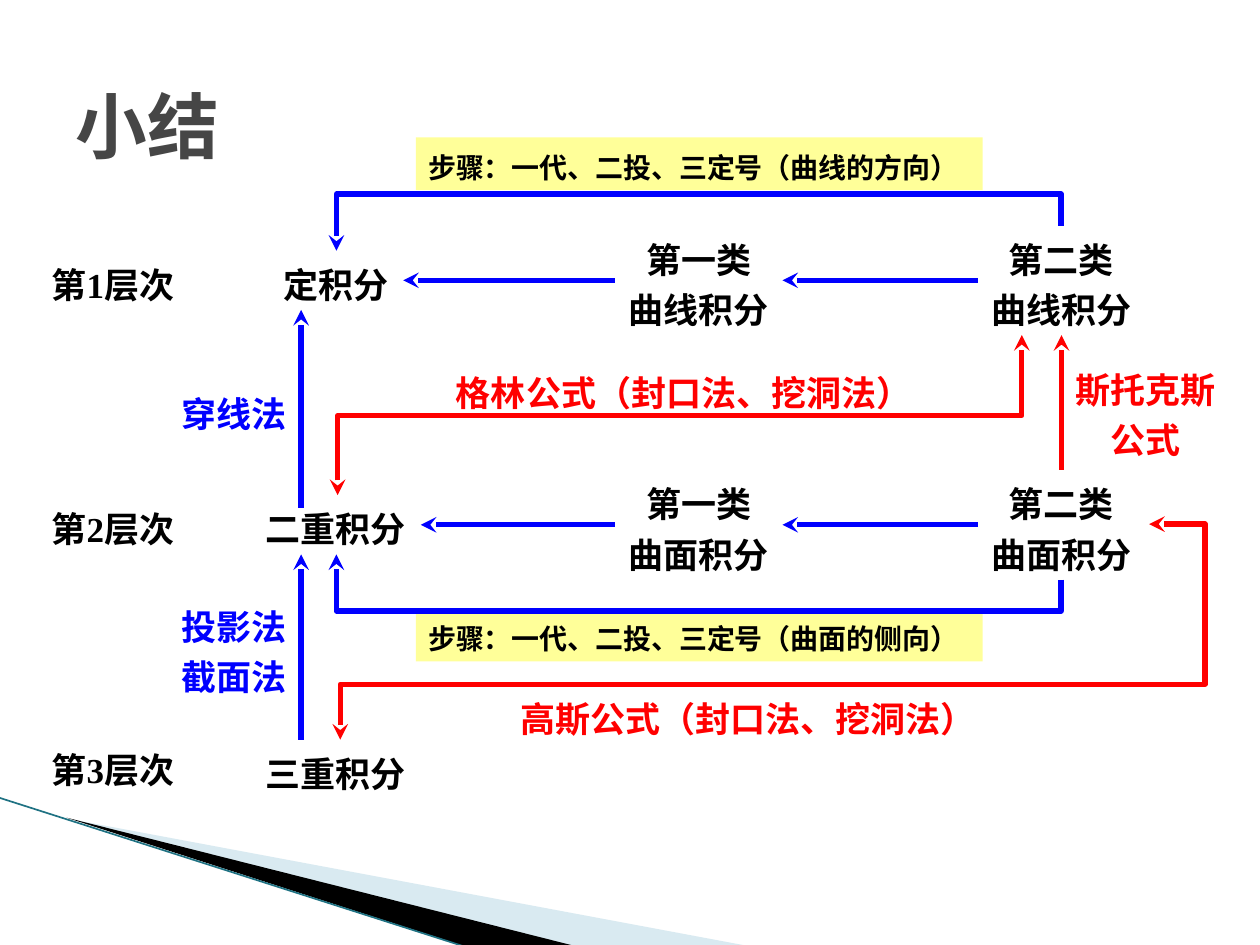
from dataclasses import dataclass

from lxml.etree import SubElement
from pptx import Presentation
from pptx.dml.color import RGBColor as RGB
from pptx.enum.shapes import MSO_CONNECTOR as Conn, MSO_SHAPE as Shape
from pptx.enum.text import MSO_ANCHOR as Anchor, MSO_AUTO_SIZE as Fit, PP_ALIGN as Align
from pptx.oxml.ns import qn
from pptx.util import Inches, Pt

TOP, LEFT, BOTTOM, RIGHT = range(4)


@dataclass(frozen=True)
class Theme:
    font: str = "Times New Roman"
    title: str = "464646"
    ink: str = "000000"
    blue: str = "0000FF"
    red: str = "FF0000"
    band: str = "FFFF99"
    pale: str = "A0CBDC"
    edge: str = "1F7283"
    head: int = 41
    body: int = 20
    note: int = 16
    line: float = 3


class Board:
    def __init__(self, slide, theme):
        self.slide, self.theme = slide, theme
        self.shapes = slide.shapes

    def letter(self, shape, text, color, size, align=Align.LEFT, wrap=False,
               anchor=Anchor.MIDDLE, hang=False):
        """Fill the shape with styled text, one paragraph a line."""
        frame = shape.text_frame
        frame.text = text
        frame.word_wrap = wrap
        frame.vertical_anchor = anchor
        frame.auto_size = Fit.SHAPE_TO_FIT_TEXT
        for para in frame.paragraphs:
            if hang:
                props = para._p.get_or_add_pPr()
                props.set("marL", str(Inches(0.4)))
                props.set("indent", str(Inches(-0.28)))
            para.alignment = align
            para.line_spacing = 1.2
            font = para.font
            font.name, font.size, font.bold = self.theme.font, Pt(size), True
            font.color.rgb = RGB.from_string(color)
        return shape

    def label(self, text, box, color=None, size=None, **style):
        shape = self.shapes.add_textbox(*map(Inches, box))
        return self.letter(shape, text, color or self.theme.ink,
                           size or self.theme.body, **style)

    def band(self, text, box):
        shape = self.shapes.add_shape(Shape.RECTANGLE, *map(Inches, box))
        self.paint(shape, self.theme.band)
        self.letter(shape, text, self.theme.ink, self.theme.note)

    def paint(self, shape, color, alpha=None):
        shape.shadow.inherit = False
        shape.fill.solid()
        shape.fill.fore_color.rgb = RGB.from_string(color)
        shape.line.fill.background()
        if alpha:
            tint = shape._element.spPr.find(qn("a:solidFill"))[0]
            SubElement(tint, qn("a:alpha"), val=str(alpha * 1000))

    def wedge(self, points, color, alpha=None):
        first, *rest = [(Inches(x), Inches(y)) for x, y in points]
        outline = self.shapes.build_freeform(*first)
        outline.add_line_segments(rest, close=True)
        self.paint(outline.convert_to_shape(), color, alpha)

    def line(self, start, end, color, width=None, heads=("tailEnd",), kind=Conn.STRAIGHT):
        link = self.shapes.add_connector(kind, *map(Inches, (*start, *end)))
        link.line.color.rgb = RGB.from_string(color)
        link.line.width = Pt(width or self.theme.line)
        props = link._element.spPr
        for head in heads:
            SubElement(props.find(qn("a:ln")), qn(f"a:{head}"), type="stealth")
        SubElement(props, qn("a:effectLst"))
        return link

    def join(self, source, out, target, into, color):
        link = self.line((0, 0), (1, 1), color)
        link.begin_connect(source, out)
        link.end_connect(target, into)

    def elbow(self, start, end, bend, color, side=None, both=False):
        """Leave vertically, cross at height bend, and optionally turn back at x side."""
        (x1, y1), (x2, y2) = start, end
        wide, high = abs(y2 - y1), abs(x2 - x1)
        left, top = (x1 + x2 - wide) / 2, (y1 + y2 - high) / 2
        heads = ("headEnd", "tailEnd") if both else ("tailEnd",)
        link = self.line((left, top), (left + wide, top + high), color,
                         heads=heads, kind=Conn.ELBOW)
        form = link._element.spPr.find(qn("a:xfrm"))
        form.set("rot", str(90 * 60000))
        if y2 < y1:
            form.set("flipH", "1")
        if x2 > x1:
            form.set("flipV", "1")
        turns = [(bend - y1) / (y2 - y1)]
        if side is not None:
            turns.append((side - x1) / (x2 - x1))
        geom = link._element.spPr.find(qn("a:prstGeom"))
        geom.set("prst", f"bentConnector{len(turns) + 2}")
        guides = geom.find(qn("a:avLst"))
        if guides is None:
            guides = SubElement(geom, qn("a:avLst"))
        for num, turn in enumerate(turns, 1):
            SubElement(guides, qn("a:gd"), name=f"adj{num}",
                       fmla=f"val {round(turn * 100000)}")


def main():
    deck = Presentation()
    deck.slide_width, deck.slide_height = Inches(10), Inches(7.5)
    look = Theme()
    board = Board(deck.slides.add_slide(deck.slide_layouts[6]), look)

    board.wedge([(0.55, 6.5), (5.95, 7.51), (4.56, 7.51)], look.pale, alpha=40)
    board.wedge([(0.53, 6.49), (4.57, 7.51), (3.72, 7.52)], look.ink)
    board.line((-0.01, 6.33), (3.71, 7.52), look.edge, width=0.95, heads=())
    board.label("小结", (0.5, 0.3, 9, 1.25), look.title, look.head, wrap=True)

    for num, top in enumerate((1.99, 3.93, 5.84), 1):
        board.label(f"第{num}层次", (0.31, top, 1.19, 0.47), wrap=True)

    single = board.label("定积分", (2.15, 1.99, 1.05, 0.47))
    double = board.label("二重积分", (2.01, 3.93, 1.33, 0.47))
    board.label("三重积分", (2.01, 5.87, 1.33, 0.47))

    seconds = []
    for goal, kind, top in ((single, "曲线", 1.79), (double, "曲面", 3.73)):
        first, second = [
            board.label(f"第{rank}类\n{kind}积分", (left, top, 1.33, 0.87), align=Align.CENTER)
            for rank, left in (("一", 4.88), ("二", 7.76))]
        board.join(second, LEFT, first, RIGHT, look.blue)
        board.join(first, LEFT, goal, RIGHT, look.blue)
        seconds.append(second)
    curve, face = seconds
    board.join(face, TOP, curve, BOTTOM, look.red)

    for aim, top in (("曲线的方向", 1.09), ("曲面的侧向", 4.83)):
        board.band(f"步骤：一代、二投、三定号（{aim}）", (3.3, top, 4.5, 0.42))

    for low, high in ((4.03, 2.46), (5.87, 4.4)):
        board.line((2.39, low), (2.39, high), look.blue)
    board.elbow((8.42, 1.79), (2.67, 1.99), 1.54, look.blue)
    board.elbow((8.42, 4.6), (2.67, 4.4), 4.85, look.blue)
    board.elbow((2.68, 3.93), (8.11, 2.66), 3.3, look.red, both=True)
    board.elbow((2.7, 5.87), (9.12, 4.16), 5.43, look.red, side=9.56, both=True)

    for text, box, align in (
            ("格林公式（封口法、挖洞法）", (3.4, 2.83, 3.99, 0.47), Align.LEFT),
            ("高斯公式（封口法、挖洞法）", (3.91, 5.42, 3.99, 0.47), Align.LEFT),
            ("斯托克斯\n公式", (8.31, 2.81, 1.45, 0.87), Align.CENTER)):
        board.label(text, box, look.red, align=align, anchor=Anchor.TOP, hang=True)
    board.label("穿线法", (1.34, 2.99, 1.05, 0.51), look.blue)
    board.label("投影法\n截面法", (1.34, 4.68, 1.05, 0.91), look.blue)

    deck.save("out.pptx")


if __name__ == "__main__":
    main()
